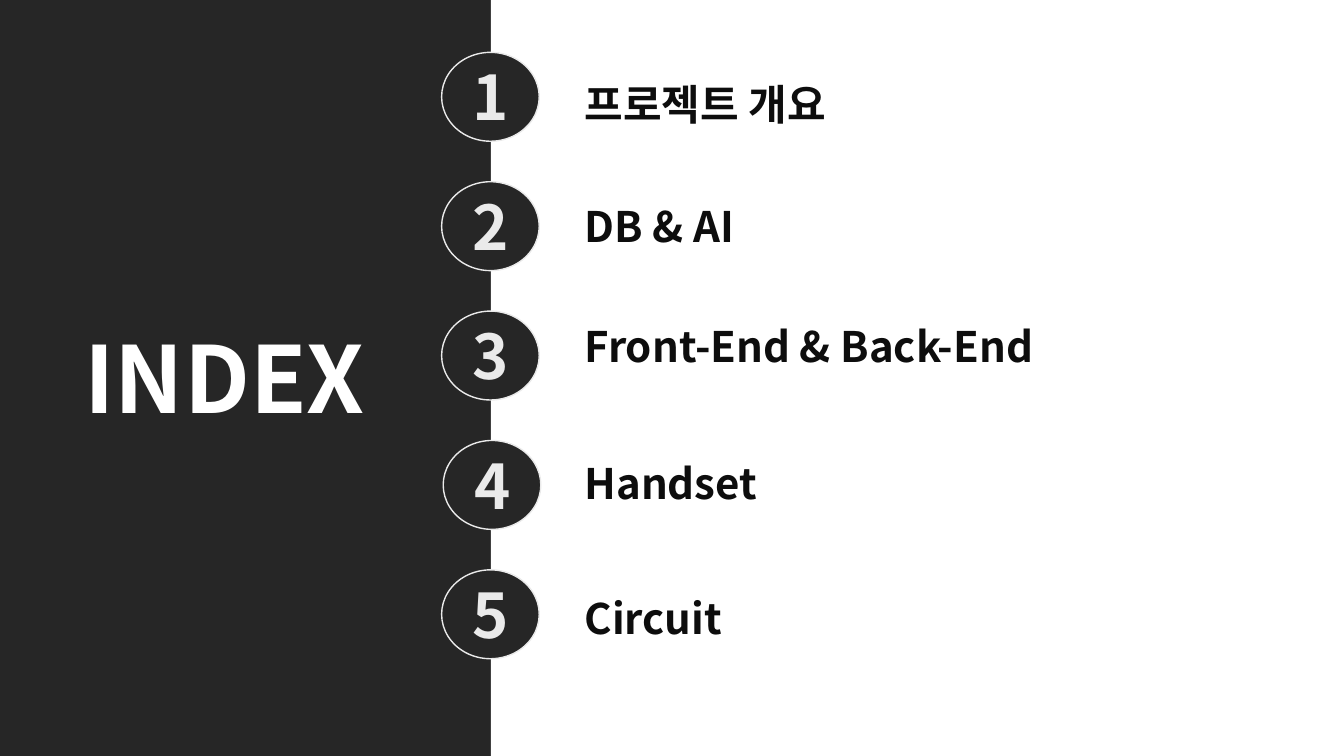
from pptx import Presentation
from pptx.dml.color import RGBColor
from pptx.enum.shapes import MSO_SHAPE
from pptx.enum.text import MSO_ANCHOR, MSO_AUTO_SIZE
from pptx.oxml.ns import qn
from pptx.util import Cm, Pt
from lxml.etree import SubElement

CHARCOAL = RGBColor(0x26, 0x26, 0x26)
WHITE = RGBColor(0xFF, 0xFF, 0xFF)
PALE = RGBColor(0xEA, 0xEA, 0xEA)
INK = RGBColor(0x0D, 0x0D, 0x0D)
FONT = "Noto Sans CJK KR"

ROW_TOP, ROW_PITCH = 1.32, 3.26
BADGE_LEFT, BADGE_WIDTH, BADGE_HEIGHT = 11.13, 2.46, 2.24
TOPICS = [
    ("프로젝트 개요", 0, 2.59, 0),
    ("DB & AI", -0.19, 2.59, 0),
    ("Front-End & Back-End", -0.42, 2.59, 0),
    ("Handset", -0.05, 2.24, 0.04),
    ("Circuit", 0.09, 2.24, 0),
]


def add_text(shapes, text, box, *, size, color, anchor=MSO_ANCHOR.TOP,
             wrap=False, space_before=0):
    caption = shapes.add_textbox(*map(Cm, box))
    frame = caption.text_frame
    frame.word_wrap = wrap
    frame.auto_size = MSO_AUTO_SIZE.NONE if wrap else MSO_AUTO_SIZE.SHAPE_TO_FIT_TEXT
    frame.vertical_anchor = anchor
    paragraph = frame.paragraphs[0]
    paragraph.space_before = Pt(space_before)
    run = paragraph.add_run()
    run.text = text
    run.font.size = Pt(size)
    run.font.bold = True
    run.font.color.rgb = color
    run.font.name = FONT
    SubElement(run.font._element, qn("a:ea")).set("typeface", FONT)


def add_filled(shapes, kind, box, fill, line=None):
    figure = shapes.add_shape(kind, *map(Cm, box))
    figure.shadow.inherit = False
    figure.fill.solid()
    figure.fill.fore_color.rgb = fill
    if line is None:
        figure.line.fill.background()
    else:
        figure.line.color.rgb = line
        figure.line.width = Pt(1)


def add_badge(slide, number, box):
    left, top, width, height = box
    badge = slide.shapes.add_group_shape().shapes
    add_filled(badge, MSO_SHAPE.OVAL, box, CHARCOAL, PALE)
    add_text(badge, str(number), (left + 0.53, top + 0.05, width - 1.04, height - 0.11),
             size=44, color=PALE)


def add_topics(slide, box):
    left, top, width, height = box
    add_filled(slide.shapes, MSO_SHAPE.RECTANGLE, box, WHITE)
    for index, (topic, drop, topic_height, shift) in enumerate(TOPICS):
        row_top = top + ROW_TOP + index * ROW_PITCH
        add_badge(slide, index + 1,
                  (BADGE_LEFT + shift, row_top, BADGE_WIDTH, BADGE_HEIGHT))
        add_text(slide.shapes, topic,
                 (left + 2.11, row_top + drop, width - 3.6, topic_height),
                 size=30, color=INK, anchor=MSO_ANCHOR.MIDDLE, wrap=True,
                 space_before=10)


def add_title(slide, box):
    left, top, width, height = box
    add_text(slide.shapes, "INDEX", (left + 1.88, top + 7.98, 7.72, 3.07),
             size=66, color=WHITE)


def main():
    deck = Presentation()
    deck.slide_width, deck.slide_height = Cm(33.87), Cm(19.05)
    slide = deck.slides.add_slide(deck.slide_layouts[6])
    slide.background.fill.solid()
    slide.background.fill.fore_color.rgb = CHARCOAL
    add_topics(slide, (12.37, 0, 21.5, 19.05))
    add_title(slide, (0, 0, 12.37, 19.05))
    deck.save("out.pptx")


if __name__ == "__main__":
    main()
